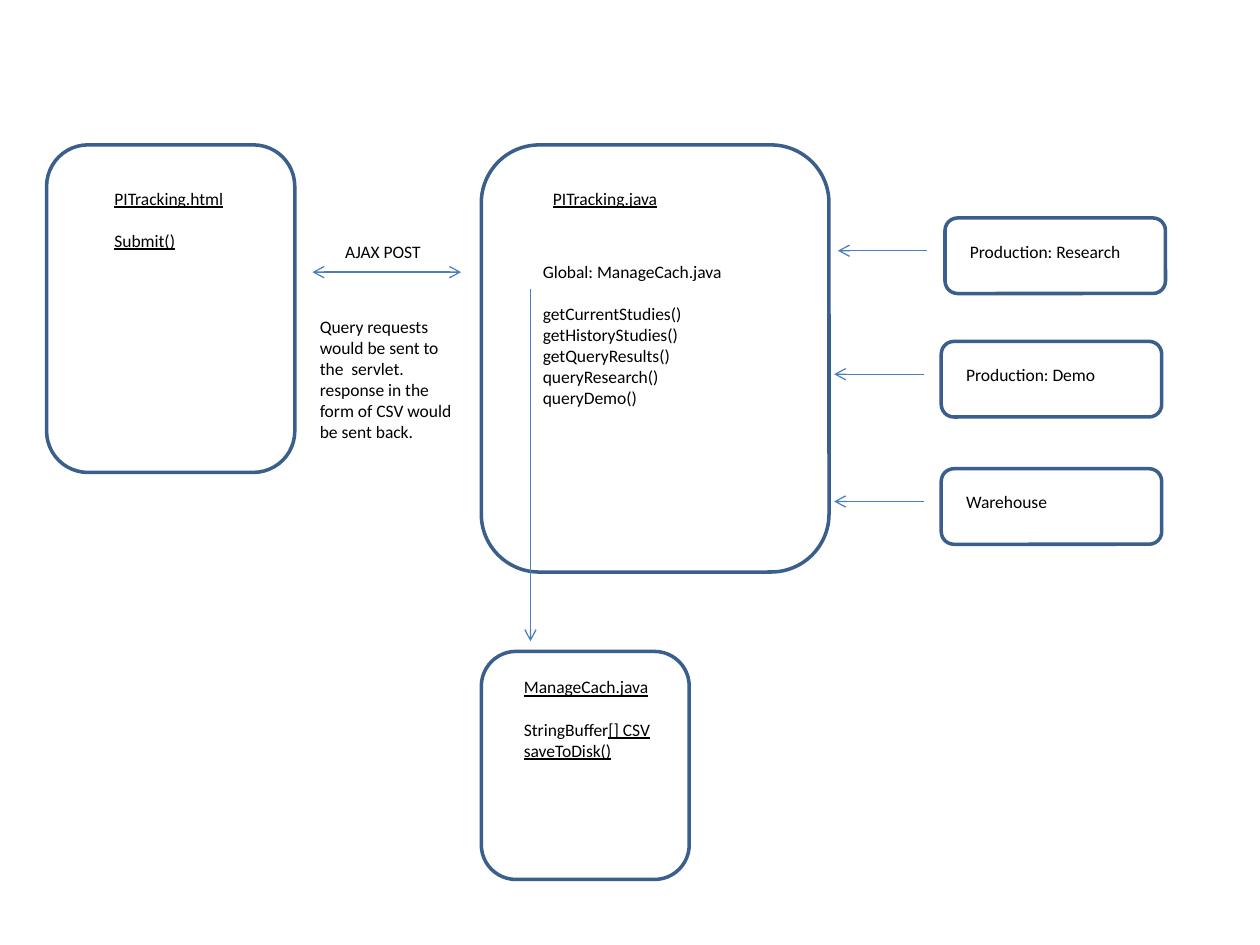
from dataclasses import dataclass

from lxml.etree import SubElement
from pptx import Presentation
from pptx.dml.color import RGBColor
from pptx.enum.shapes import MSO_CONNECTOR, MSO_SHAPE
from pptx.enum.text import PP_ALIGN
from pptx.oxml.ns import qn
from pptx.util import Inches, Pt


@dataclass(frozen=True)
class Theme:
    font: str = "Calibri"
    size: float = 10
    text: str = "000000"
    outline: str = "3A5F8C"
    arrow: str = "4B7EBC"
    outline_width: float = 2
    arrow_width: float = 0.75
    paragraph_gap: float = 12


class Diagram:
    COLUMNS = 100
    ROWS = 75

    def __init__(self, theme):
        self.theme = theme
        self.deck = Presentation()
        self.deck.slide_width = Inches(10)
        self.deck.slide_height = Inches(7.5)
        self.page = self.deck.slides.add_slide(self.deck.slide_layouts[6])

    def across(self, columns):
        return round(self.deck.slide_width * columns / self.COLUMNS)

    def down(self, rows):
        return round(self.deck.slide_height * rows / self.ROWS)

    def area(self, left, top, width, height):
        return self.across(left), self.down(top), self.across(width), self.down(height)

    def component(self, left, top, width, height):
        shape = self.page.shapes.add_shape(
            MSO_SHAPE.ROUNDED_RECTANGLE, *self.area(left, top, width, height))
        shape.shadow.inherit = False
        shape.fill.background()
        shape.line.color.rgb = RGBColor.from_string(self.theme.outline)
        shape.line.width = Pt(self.theme.outline_width)

    def label(self, left, top, width, height, *groups):
        box = self.page.shapes.add_textbox(*self.area(left, top, width, height))
        frame = box.text_frame
        frame.word_wrap = True
        para = frame.paragraphs[0]
        for group_index, group in enumerate(groups):
            for line_index, spans in enumerate(group):
                if group_index or line_index:
                    para = frame.add_paragraph()
                para.alignment = PP_ALIGN.LEFT
                if group_index and not line_index:
                    para.space_before = Pt(self.theme.paragraph_gap)
                for text, underline in spans:
                    self.span(para, text, underline)

    def span(self, para, text, underline):
        span = para.add_run()
        span.text = text
        span.font.name = self.theme.font
        span.font.size = Pt(self.theme.size)
        span.font.color.rgb = RGBColor.from_string(self.theme.text)
        span.font.underline = underline

    def arrow(self, start, end, both_ways=False):
        connector = self.page.shapes.add_connector(
            MSO_CONNECTOR.STRAIGHT,
            self.across(start[0]), self.down(start[1]),
            self.across(end[0]), self.down(end[1]))
        connector.line.color.rgb = RGBColor.from_string(self.theme.arrow)
        connector.line.width = Pt(self.theme.arrow_width)
        outline = connector.line._get_or_add_ln()
        for tag in ("a:headEnd", "a:tailEnd") if both_ways else ("a:tailEnd",):
            SubElement(outline, qn(tag), type="arrow")
        SubElement(connector._element.spPr, qn("a:effectLst"))

    def source(self, left, top, name):
        self.component(left, top, 17.5, 6)
        self.label(left + 1, top + 1.3, 15, 2.7, [plain(name)])
        middle = top + 2.6
        self.arrow((left - 1.4, middle), (left - 8.5, middle))


def plain(text):
    return [(text, False)]


def underlined(text):
    return [(text, True)]


def main():
    diagram = Diagram(Theme())

    diagram.component(3.7, 11.5, 19.7, 26)
    diagram.label(8.1, 14.4, 11, 6.1,
                  [underlined("PITracking.html")], [underlined("Submit()")])

    diagram.component(38.2, 11.5, 27.6, 33.9)
    diagram.label(42.9, 14.4, 16.5, 2.7, [underlined("PITracking.java")])
    methods = ("getCurrentStudies()", "getHistoryStudies()", "getQueryResults()",
               "queryResearch()", "queryDemo()")
    diagram.label(42.1, 20.2, 19.7, 22.9,
                  [plain("Global: ManageCach.java")],
                  [plain(method) for method in methods])

    diagram.arrow((24.8, 21.6), (36.6, 21.6), both_ways=True)
    diagram.label(26.4, 18.6, 8.7, 2.7, [plain("AJAX POST")])
    diagram.label(24.4, 24.6, 12.6, 11.1, [plain(
        "Query requests would be sent to the  servlet. "
        "response in the form of CSV would be sent back.")])

    diagram.component(38.2, 51.7, 16.5, 18.1)
    diagram.label(40.6, 53.2, 13.4, 7.7,
                  [underlined("ManageCach.java")],
                  [plain("StringBuffer") + underlined("[] CSV"),
                   underlined("saveToDisk()")])
    diagram.arrow((42.1, 22.9), (42.1, 50.9))

    for left, top, name in ((75, 17.3, "Production: Research"),
                            (74.7, 27.1, "Production: Demo"),
                            (74.7, 37.2, "Warehouse")):
        diagram.source(left, top, name)

    diagram.deck.save("out.pptx")


if __name__ == "__main__":
    main()
